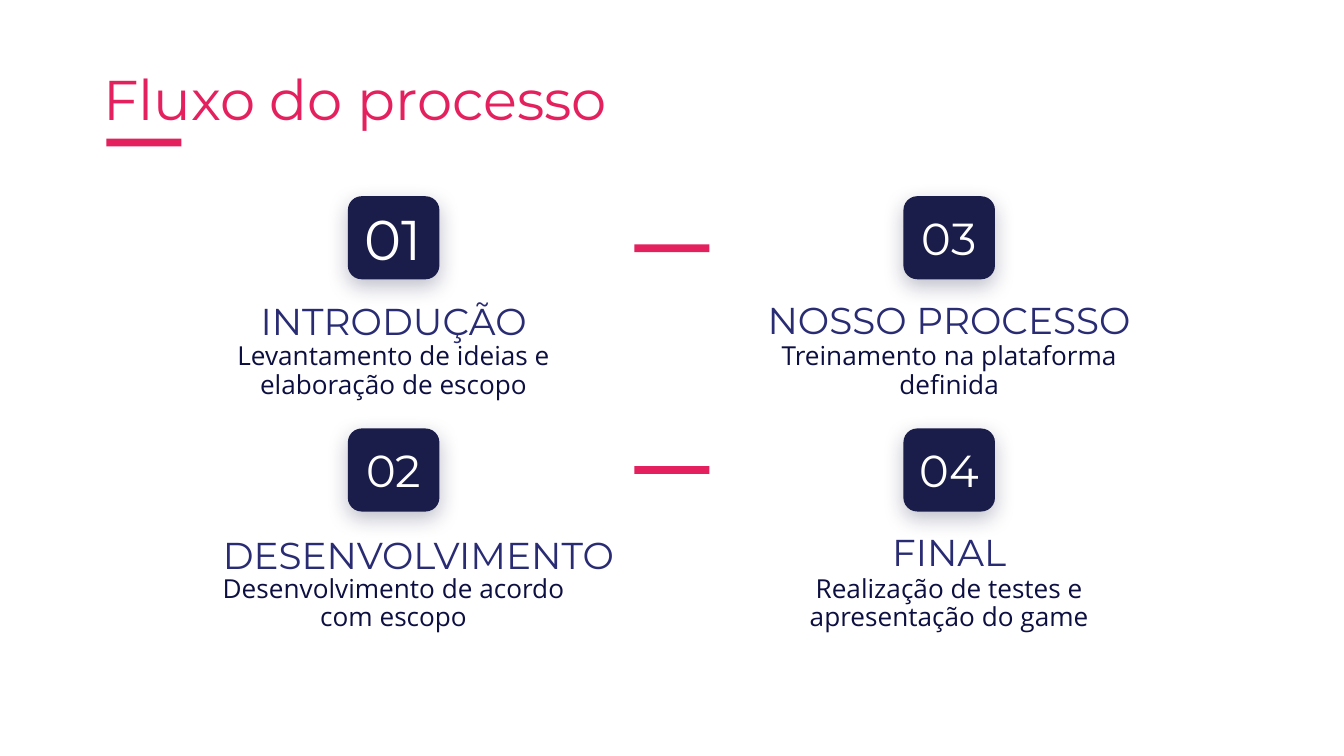
from dataclasses import dataclass

from lxml import etree
from pptx import Presentation, util as u
from pptx.dml.color import RGBColor
from pptx.enum import shapes, text
from pptx.oxml.ns import qn


@dataclass(frozen=True)
class Theme:
    pink: str = "E5205E"
    navy: str = "1A1C49"
    indigo: str = "292C73"
    ink: str = "0D0F41"
    white: str = "FFFFFF"
    display: str = "Montserrat"
    reading: str = "Open Sans"
    title_size: int = 30
    number_size: int = 24
    heading_size: int = 20
    body_size: int = 14


SLIDE_W, SLIDE_H = 25.4, 14.29
BADGE_W, BADGE_H = 1.73, 1.57
BAR_W, BAR_H = 1.42, 0.15
BODY_W, BODY_H = 7.52, 2.08
BODY_DROP = 2.53  # from badge top to body top
COLUMN_CENTRES = (7.44, 17.94)
ROW_TOPS = (3.71, 8.1)
DIVIDER_TOPS = (4.62, 8.81)

# column, row, number, number size, heading, heading width,
# heading shift to the right, heading bottom below badge top, body
STEPS = [
    (0, 0, "01", Theme.title_size, "INTRODUÇÃO", BODY_W, 0, 3.02,
     "Levantamento de ideias e elaboração de escopo"),
    (0, 1, "02", Theme.number_size, "DESENVOLVIMENTO", 8.46, 0.47, 3.05,
     "Desenvolvimento de acordo com escopo"),
    (1, 0, "03", Theme.number_size, "NOSSO PROCESSO", 8.51, 0, 3,
     "Treinamento na plataforma definida"),
    (1, 1, "04", Theme.number_size, "FINAL", 6.6, 0, 3,
     "Realização de testes e apresentação do game"),
]


class ProcessSlide:
    def __init__(self, slide, theme):
        self.slide = slide
        self.theme = theme

    def set_text(self, shape, words, font, size, colour, anchor,
                 align=text.PP_ALIGN.CENTER, inset=0.25, spacing=1.0):
        frame = shape.text_frame
        frame.text = words
        frame.word_wrap = True
        frame.auto_size = text.MSO_AUTO_SIZE.NONE
        frame.vertical_anchor = anchor
        frame.margin_left = frame.margin_right = u.Cm(inset)
        frame.margin_top = frame.margin_bottom = u.Cm(inset)
        paragraph = frame.paragraphs[0]
        paragraph.alignment = align
        paragraph.line_spacing = spacing
        run_font = paragraph.runs[0].font
        run_font.name, run_font.size = font, u.Pt(size)
        run_font.color.rgb = RGBColor.from_string(colour)

    def title(self, words):
        title = self.slide.shapes.title
        title.left, title.top = u.Cm(1.7), u.Cm(0.97)
        title.width, title.height = u.Cm(19.53), u.Cm(1.75)
        self.set_text(title, words, self.theme.display, self.theme.title_size,
                      self.theme.pink, text.MSO_ANCHOR.TOP, text.PP_ALIGN.LEFT)

    def block(self, kind, left, top, width, height, colour):
        block = self.slide.shapes.add_shape(
            kind, u.Cm(left), u.Cm(top), u.Cm(width), u.Cm(height))
        block.shadow.inherit = False
        block.fill.solid()
        block.fill.fore_color.rgb = RGBColor.from_string(colour)
        block.line.fill.background()
        return block

    def bar(self, left, top):
        self.block(shapes.MSO_SHAPE.RECTANGLE, left, top, BAR_W, BAR_H,
                   self.theme.pink)

    def badge(self, centre, top, number, size):
        badge = self.block(shapes.MSO_SHAPE.ROUNDED_RECTANGLE,
                           centre - BADGE_W / 2, top, BADGE_W, BADGE_H,
                           self.theme.navy)
        self.soft_shadow(badge)
        self.set_text(badge, number, self.theme.display, size,
                      self.theme.white, text.MSO_ANCHOR.MIDDLE, inset=0)

    def soft_shadow(self, shape):
        """Fill the shape's empty effect list with a blurred shadow below it."""
        effects = shape.element.spPr.find(qn("a:effectLst"))
        shadow = etree.SubElement(
            effects, qn("a:outerShdw"), blurRad=str(u.Pt(11.25)),
            dist=str(u.Pt(3.75)), dir="5400000", algn="bl", rotWithShape="0")
        colour = etree.SubElement(shadow, qn("a:srgbClr"), val=self.theme.navy)
        etree.SubElement(colour, qn("a:alpha"), val="28000")

    def text_box(self, centre, top, width, height, words, **style):
        box = self.slide.shapes.add_textbox(
            u.Cm(centre - width / 2), u.Cm(top), u.Cm(width), u.Cm(height))
        self.set_text(box, words, **style)

    def heading(self, centre, bottom, width, words):
        height = 1.57
        self.text_box(centre, bottom - height, width, height, words,
                      font=self.theme.display, size=self.theme.heading_size,
                      colour=self.theme.indigo, anchor=text.MSO_ANCHOR.BOTTOM)

    def body(self, centre, top, words):
        self.text_box(centre, top, BODY_W, BODY_H, words,
                      font=self.theme.reading, size=self.theme.body_size,
                      colour=self.theme.ink, anchor=text.MSO_ANCHOR.TOP,
                      spacing=0.9)


def main():
    deck = Presentation()
    deck.slide_width, deck.slide_height = u.Cm(SLIDE_W), u.Cm(SLIDE_H)
    title_only = deck.slide_layouts.get_by_name("Title Only")
    page = ProcessSlide(deck.slides.add_slide(title_only), Theme())

    page.title("Fluxo do processo")
    page.bar(2.01, 2.62)
    for (column, row, number, number_size, heading, heading_width,
         heading_shift, heading_drop, body) in STEPS:
        centre, top = COLUMN_CENTRES[column], ROW_TOPS[row]
        page.badge(centre, top, number, number_size)
        page.heading(centre + heading_shift, top + heading_drop,
                     heading_width, heading)
        page.body(centre, top + BODY_DROP, body)
    for divider_top in DIVIDER_TOPS:
        page.bar((SLIDE_W - BAR_W) / 2, divider_top)

    deck.save("out.pptx")


if __name__ == "__main__":
    main()
